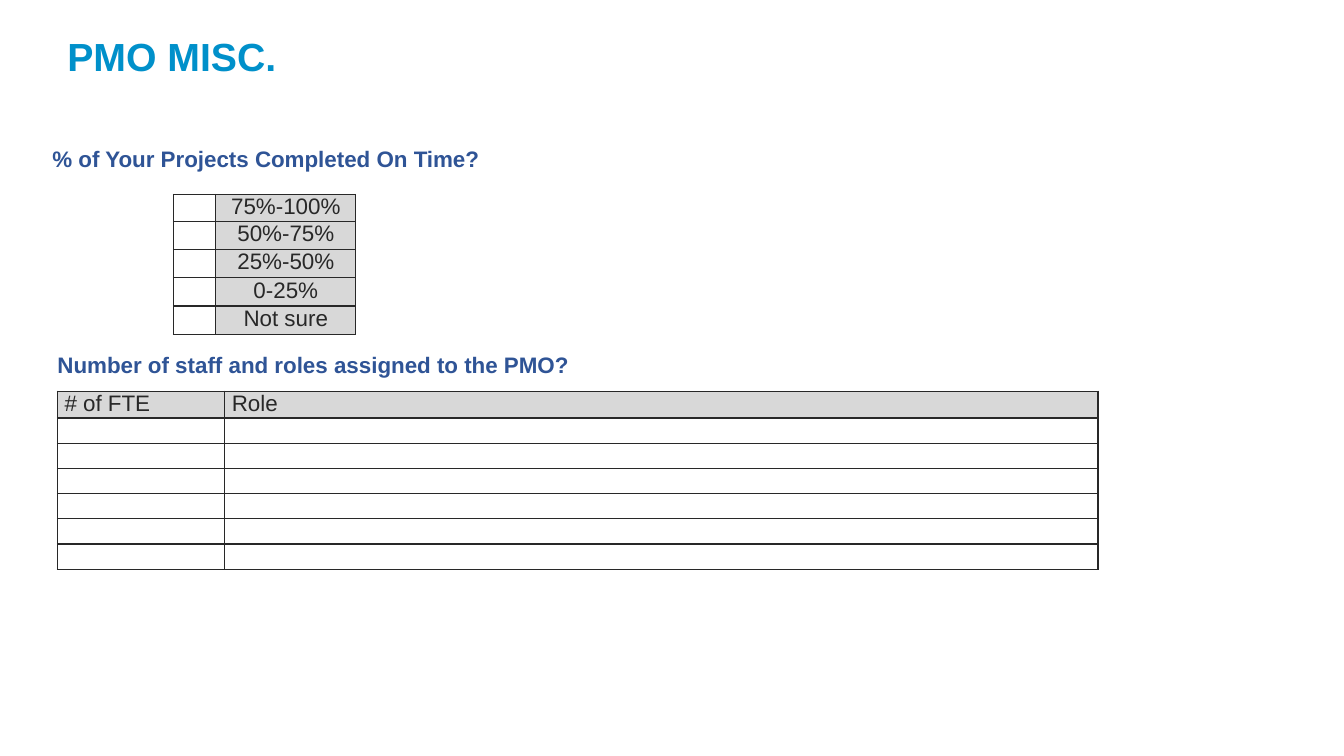
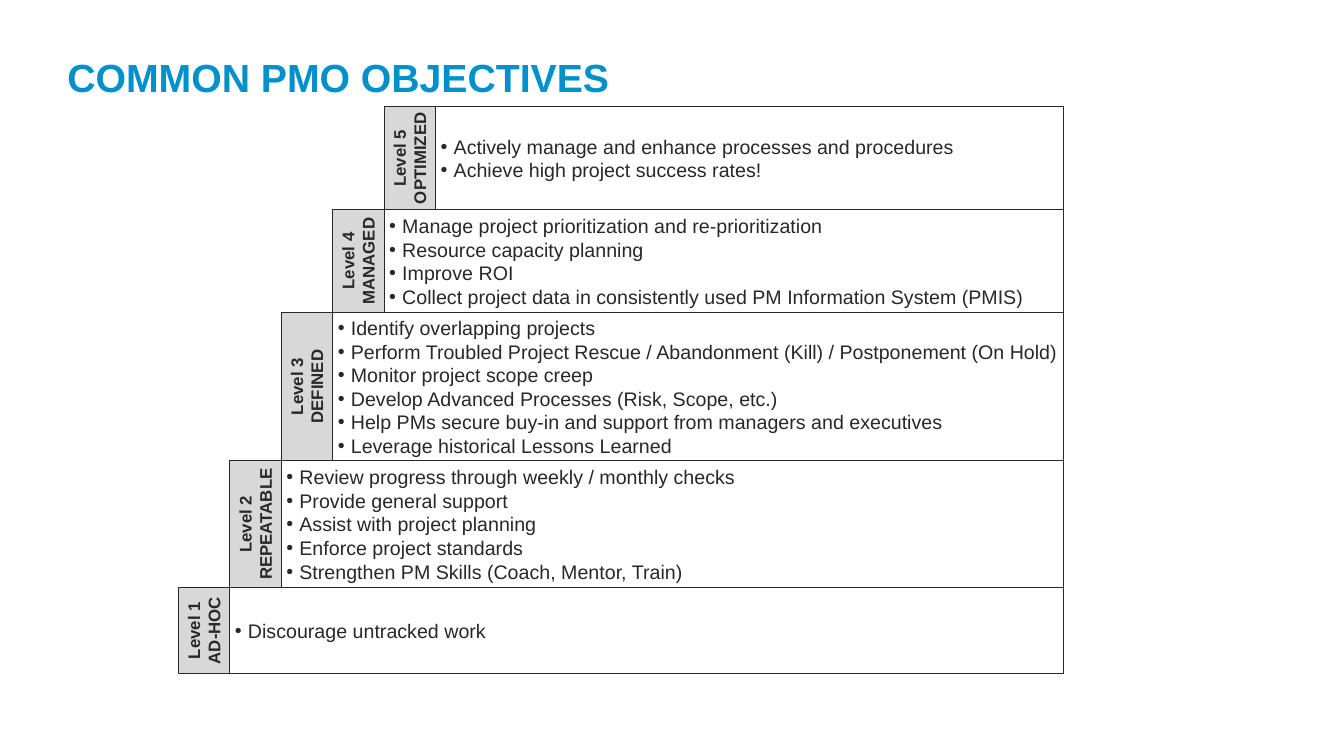
from lxml import etree
from pptx import Presentation
from pptx.dml.color import RGBColor
from pptx.enum.shapes import MSO_SHAPE
from pptx.enum.text import MSO_ANCHOR, PP_ALIGN
from pptx.oxml.ns import qn
from pptx.util import Inches, Pt

RECT = MSO_SHAPE.RECTANGLE
TOP, MIDDLE = MSO_ANCHOR.TOP, MSO_ANCHOR.MIDDLE
LEFT, CENTER = PP_ALIGN.LEFT, PP_ALIGN.CENTER

COLORS = {"title": "0090CA", "head": "2F5496", "ink": "282828",
          "gray": "D8D8D8", "white": "FFFFFF"}
FONT = "Arial"
STYLES = {
    "title": {"size": Pt(28), "bold": True, "color": "title"},
    "head": {"size": Pt(16), "bold": True, "color": "head"},
    "cell": {"size": Pt(16), "bold": False, "color": "ink"},
    "item": {"size": Pt(14), "bold": False, "color": "ink"},
    "tag": {"size": Pt(12), "bold": True, "color": "ink"},
}

TITLES = [("PMO MISC.", (0.57, 0.13, 11.79, 0.85)),
          ("COMMON PMO OBJECTIVES", (0.57, 0.34, 11.56, 0.85))]
HEADS = [("% of Your Projects Completed On Time?", (0.52, 1.36, 5.2, 0.35)),
         ("Number of staff and roles assigned to the PMO?", (0.57, 3.4, 6, 0.35))]
TABLES = [
    {"at": (1.72, 1.93), "cols": [0.42, 1.39], "rows": [0.25] + [0.28] * 4,
     "pad": 0.04, "align": CENTER,
     "data": [("", "75%-100%"), ("", "50%-75%"), ("", "25%-50%"),
              ("", "0-25%"), ("", "Not sure")]},
    {"at": (0.57, 3.88), "cols": [1.66, 8.66], "rows": [0.25] * 7,
     "pad": 0.07, "align": LEFT,
     "data": [("# of FTE", "Role")] + [("", "")] * 6},
]
LEVELS = [
    ("OPTIMIZED", 1.02, ["Actively manage and enhance processes and procedures",
                         "Achieve high project success rates!"]),
    ("MANAGED", 1.02, ["Manage project prioritization and re-prioritization",
                       "Resource capacity planning",
                       "Improve ROI",
                       "Collect project data in consistently used PM Information System (PMIS)"]),
    ("DEFINED", 1.47, ["Identify overlapping projects",
                       "Perform Troubled Project Rescue / Abandonment (Kill) / Postponement (On Hold)",
                       "Monitor project scope creep",
                       "Develop Advanced Processes (Risk, Scope, etc.)",
                       "Help PMs secure buy-in and support from managers and executives",
                       "Leverage historical Lessons Learned"]),
    ("REPEATABLE", 1.26, ["Review progress through weekly / monthly checks",
                          "Provide general support",
                          "Assist with project planning",
                          "Enforce project standards",
                          "Strengthen PM Skills (Coach, Mentor, Train)"]),
    ("AD-HOC", 0.85, ["Discourage untracked work"]),
]
STEP, FIRST, RIGHT, START = 0.51, 4.32, 10.55, 1.06


def rgb(name):
    return RGBColor.from_string(COLORS[name])


def write(frame, lines, style, align=LEFT, bullet=False):
    for i, line in enumerate(lines):
        para = frame.paragraphs[0] if i == 0 else frame.add_paragraph()
        para.alignment = align
        run = para.add_run()
        run.text = line
        run.font.name = FONT
        for key, value in STYLES[style].items():
            if key == "color":
                run.font.color.rgb = rgb(value)
            else:
                setattr(run.font, key, value)
        if bullet:
            props = para._p.get_or_add_pPr()
            props.set("marL", str(Inches(0.13)))
            props.set("indent", str(-Inches(0.13)))
            etree.SubElement(props, qn("a:buFont"), typeface=FONT)
            etree.SubElement(props, qn("a:buChar"), char="•")


def layout(frame, pads, anchor):
    frame.word_wrap = True
    frame.vertical_anchor = anchor
    for side, pad in zip(("left", "top", "right", "bottom"), pads):
        setattr(frame, "margin_" + side, Inches(pad))


def label(slide, text, at, style, pads):
    frame = slide.shapes.add_textbox(*map(Inches, at)).text_frame
    layout(frame, pads, MIDDLE)
    write(frame, [text], style)


def box(slide, at, anchor, fill=None):
    shape = slide.shapes.add_shape(RECT, *map(Inches, at))
    shape.shadow.inherit = False
    if fill:
        shape.fill.solid()
        shape.fill.fore_color.rgb = rgb(fill)
    else:
        shape.fill.background()
    shape.line.color.rgb = rgb("ink")
    shape.line.width = Pt(0.75)
    layout(shape.text_frame, [0.05] * 4, anchor)
    return shape


def border(cell):
    props = cell._tc.get_or_add_tcPr()
    for i, side in enumerate(("lnL", "lnR", "lnT", "lnB")):
        line = etree.Element(qn("a:" + side), w=str(Pt(1)))
        fill = etree.SubElement(line, qn("a:solidFill"))
        etree.SubElement(fill, qn("a:srgbClr"), val=COLORS["ink"])
        props.insert(i, line)


def grid(slide, info):
    cols, rows = info["cols"], info["rows"]
    size = (sum(cols), sum(rows))
    table = slide.shapes.add_table(
        len(rows), len(cols), *map(Inches, info["at"] + size)).table
    for col, width in zip(table.columns, cols):
        col.width = Inches(width)
    for r, (height, texts) in enumerate(zip(rows, info["data"])):
        table.rows[r].height = Inches(height)
        for c, text in enumerate(texts):
            cell = table.cell(r, c)
            cell.margin_left = cell.margin_right = Inches(info["pad"])
            cell.margin_top = cell.margin_bottom = 0
            cell.fill.solid()
            cell.fill.fore_color.rgb = rgb("gray" if text else "white")
            border(cell)
            if text:
                write(cell.text_frame, [text], "cell", info["align"])
            else:
                para = cell.text_frame.paragraphs[0]._p
                etree.SubElement(para, qn("a:endParaRPr"), sz="1200")


def stairs(slide):
    top = START
    for i, (name, height, items) in enumerate(LEVELS):
        left = FIRST - i * STEP
        body = box(slide, (left, top, RIGHT - left, height), MIDDLE)
        write(body.text_frame, items, "item", bullet=True)
        spot = (left - (STEP + height) / 2, top + (height - STEP) / 2, height, STEP)
        tag = box(slide, spot, TOP, "gray")
        tag.rotation = 270
        write(tag.text_frame, [f"Level {len(LEVELS) - i}", name], "tag", CENTER)
        top += height


def main():
    deck = Presentation()
    deck.slide_width, deck.slide_height = Inches(13.33), Inches(7.5)
    slides = []
    for text, at in TITLES:
        slide = deck.slides.add_slide(deck.slide_layouts[6])
        label(slide, text, at, "title", (0.1, 0.05, 0.1, 0.05))
        slides.append(slide)
    misc, goals = slides
    for info in TABLES:
        grid(misc, info)
    for text, at in HEADS:
        label(misc, text, at, "head", (0, 0.08, 0, 0))
    stairs(goals)
    deck.save("out.pptx")


if __name__ == "__main__":
    main()
